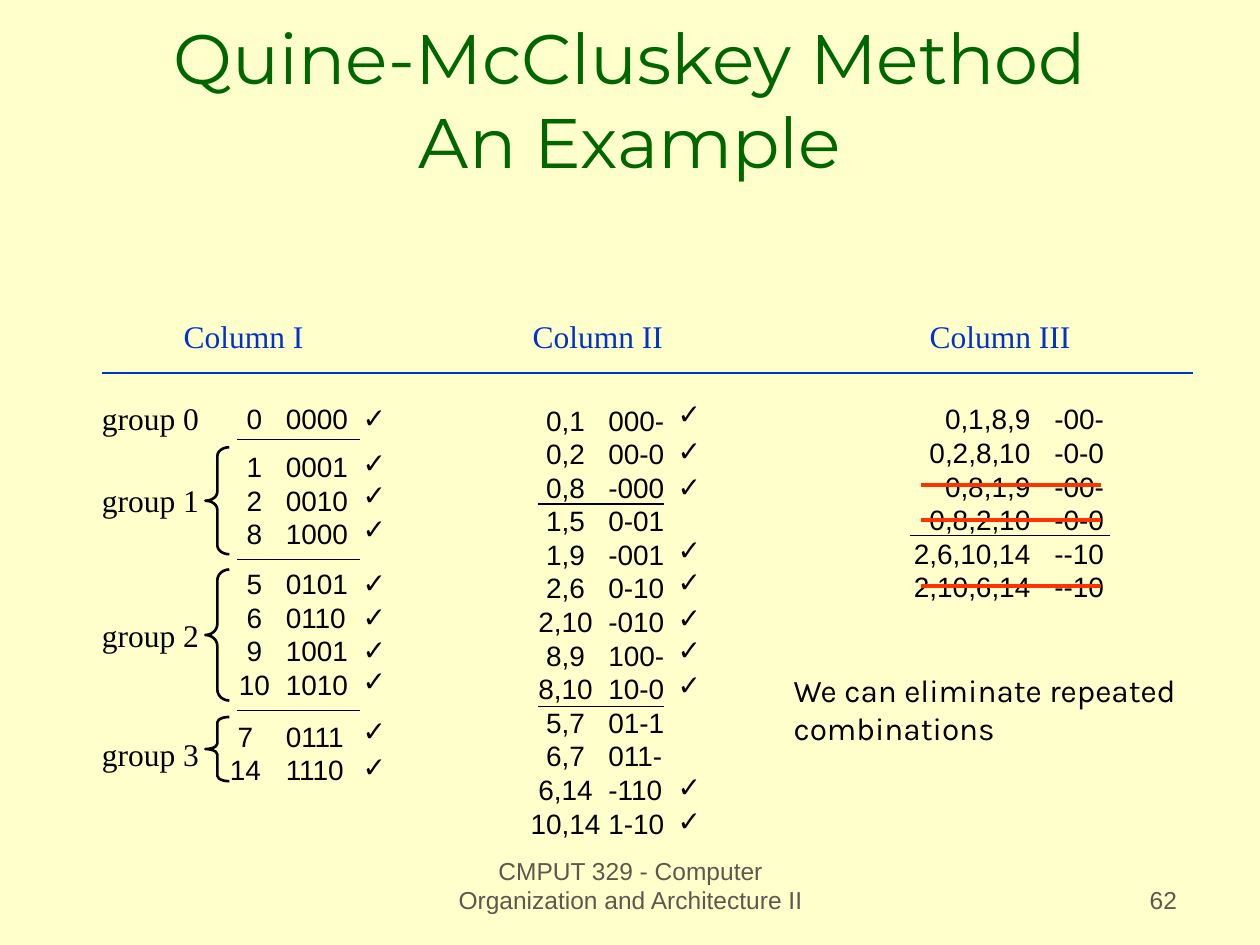
import pptx
import pptx.util
import pptx.dml.color
import pptx.enum.shapes
import pptx.enum.text
import lxml.etree

INK = {"paper": "FFFFCC", "title": "006600", "head": "0033CC",
       "text": "000000", "foot": "5E574E", "strike": "FF3300"}
WIDE, HIGH = 10, 7.5
SANS, SERIF = "Arial", "Times New Roman"
ALIGN = pptx.enum.text.PP_ALIGN
ANCHOR = pptx.enum.text.MSO_ANCHOR
TICK = (3.7, 4.93)

GROUPS = [
    (41.87, 4.93, 0.22, ["0 0000"]),
    (46.93, 12, 0.22, ["1 0001", "2 0010", "8 1000"]),
    (59.33, 15.6, 0.22, ["5 0101", "6 0110", "9 1001", "10 1010"]),
    (75.47, 8.53, 0.15, ["7 0111", "14 1110"]),
]
PAIRS = ["0,1 000-", "0,2 00-0", "0,8 -000", "1,5 0-01", "1,9 -001",
         "2,6 0-10", "2,10 -010", "8,9 100-", "8,10 10-0", "5,7 01-1",
         "6,7 011-", "6,14 -110", "10,14 1-10"]
QUADS = ["0,1,8,9 -00-", "0,2,8,10 -0-0", "0,8,1,9 -00-",
         "0,8,2,10 -0-0", "2,6,10,14 --10", "2,10,6,14 --10"]
TICKS = {
    27.8: [41.73, 46.53, 49.87, 53.47, 59.2, 62.8, 66.27, 69.6, 74.8, 78.67],
    52.8: [41.33, 45.2, 49.07, 55.73, 59.07, 62.93, 66.27, 70, 80.8, 84.4],
}
RULES = [
    (8.1, 94.7, [39.47], "head", 0.75),
    (18.8, 28.6, [46.53, 59.2, 75.2], "text", 0.75),
    (42.7, 52.7, [53.33, 74.8], "text", 0.75),
    (72.2, 88.1, [56.67], "text", 0.75),
    (73.1, 87.4, [51.33, 55.07, 62], "strike", 2.25),
]


def across(share):
    return pptx.util.Inches(share * WIDE / 100)


def down(share):
    return pptx.util.Inches(share * HIGH / 100)


def place(left, top, width, height):
    return across(left), down(top), across(width), down(height)


def shade(name):
    return pptx.dml.color.RGBColor.from_string(INK[name])


def write(slide, area, lines, size, face, ink="text", align=ALIGN.LEFT,
          anchor=ANCHOR.TOP, wrap=False):
    frame = slide.shapes.add_textbox(*place(*area)).text_frame
    frame.word_wrap = wrap
    frame.vertical_anchor = anchor
    frame.text = "\n".join(lines)
    for para in frame.paragraphs:
        para.alignment = align
        para.font.size = pptx.util.Pt(size)
        para.font.name = face
        para.font.color.rgb = shade(ink)
    return frame


def tabulate(slide, area, rows, stops):
    lines = ["\t" + row.replace(" ", "\t") for row in rows]
    frame = write(slide, area, lines, 16, SANS, wrap=True)
    frame.margin_right = 0
    for para in frame.paragraphs:
        props = para._p.get_or_add_pPr()
        tabs = lxml.etree.Element(pptx.oxml.ns.qn("a:tabLst"))
        for inch, side in stops:
            lxml.etree.SubElement(tabs, pptx.oxml.ns.qn("a:tab"),
                                  pos=str(pptx.util.Inches(inch)), algn=side)
        props.insert(0, tabs)


def rule(slide, start, end, row, ink, weight):
    line = slide.shapes.add_connector(
        pptx.enum.shapes.MSO_CONNECTOR.STRAIGHT,
        across(start), down(row), across(end), down(row))
    line.line.color.rgb = shade(ink)
    line.line.width = pptx.util.Pt(weight)
    lxml.etree.SubElement(line._element.spPr, pptx.oxml.ns.qn("a:effectLst"))


def brace(slide, top, height):
    shape = slide.shapes.add_shape(pptx.enum.shapes.MSO_SHAPE.LEFT_BRACE,
                                   *place(16.3, top, 1.9, height))
    shape.shadow.inherit = False
    shape.fill.background()
    shape.line.color.rgb = shade("text")
    shape.line.width = pptx.util.Pt(1.5)
    shape.adjustments[0] = shape.height / shape.width / 12


def main():
    deck = pptx.Presentation()
    deck.slide_width = pptx.util.Inches(WIDE)
    deck.slide_height = pptx.util.Inches(HIGH)
    slide = deck.slides.add_slide(deck.slide_layouts[6])
    slide.background.fill.solid()
    slide.background.fill.fore_color.rgb = shade("paper")

    for left, width, text, align in [
            (34.2, 31.7, "CMPUT 329 - Computer Organization and Architecture II",
             ALIGN.CENTER),
            (73.6, 20.8, "62", ALIGN.RIGHT)]:
        write(slide, (left, 90.8, width, 6.67), [text], 14, SANS, "foot",
              align, ANCHOR.BOTTOM, True)
    write(slide, (7.5, 3.33, 85, 16.67),
          ["Quine-McCluskey Method\vAn Example"], 40, "Montserrat",
          "title", ALIGN.CENTER, ANCHOR.BOTTOM, True)

    for left, width, text in [(13.6, 12, "Column I"),
                              (41.3, 13, "Column II"),
                              (72.8, 13.8, "Column III")]:
        write(slide, (left, 32.93, width, 5.33), [text], 18, SERIF, "head",
              wrap=True)
    for index, top in enumerate([41.6, 50.27, 64.53, 77.07]):
        write(slide, (7.1, top, 9.7, 5.33), [f"group {index}"], 18, SERIF,
              align=ALIGN.CENTER)

    for top, height, mid, rows in GROUPS:
        tabulate(slide, (17, top, 11.6, height), rows,
                 [(mid, "ctr"), (0.47, "l")])
    tabulate(slide, (40.5, 42, 13.3, 47.6), PAIRS,
             [(0.34, "ctr"), (0.68, "l")])
    tabulate(slide, (71, 41.87, 17.6, 22.67), QUADS,
             [(0.98, "r"), (1.17, "l")])

    for top, height in [(47.33, 11.33), (60.27, 13.87), (75.87, 6.8)]:
        brace(slide, top, height)
    for left, tops in TICKS.items():
        for top in tops:
            write(slide, (left, top, *TICK), ["✓"], 16, SANS)
    for start, end, rows, ink, weight in RULES:
        for row in rows:
            rule(slide, start, end, row, ink, weight)
    write(slide, (62, 70.4, 33.4, 9.33),
          ["We can eliminate repeated", "combinations"], 18, "Karla")
    deck.save("out.pptx")


if __name__ == "__main__":
    main()
